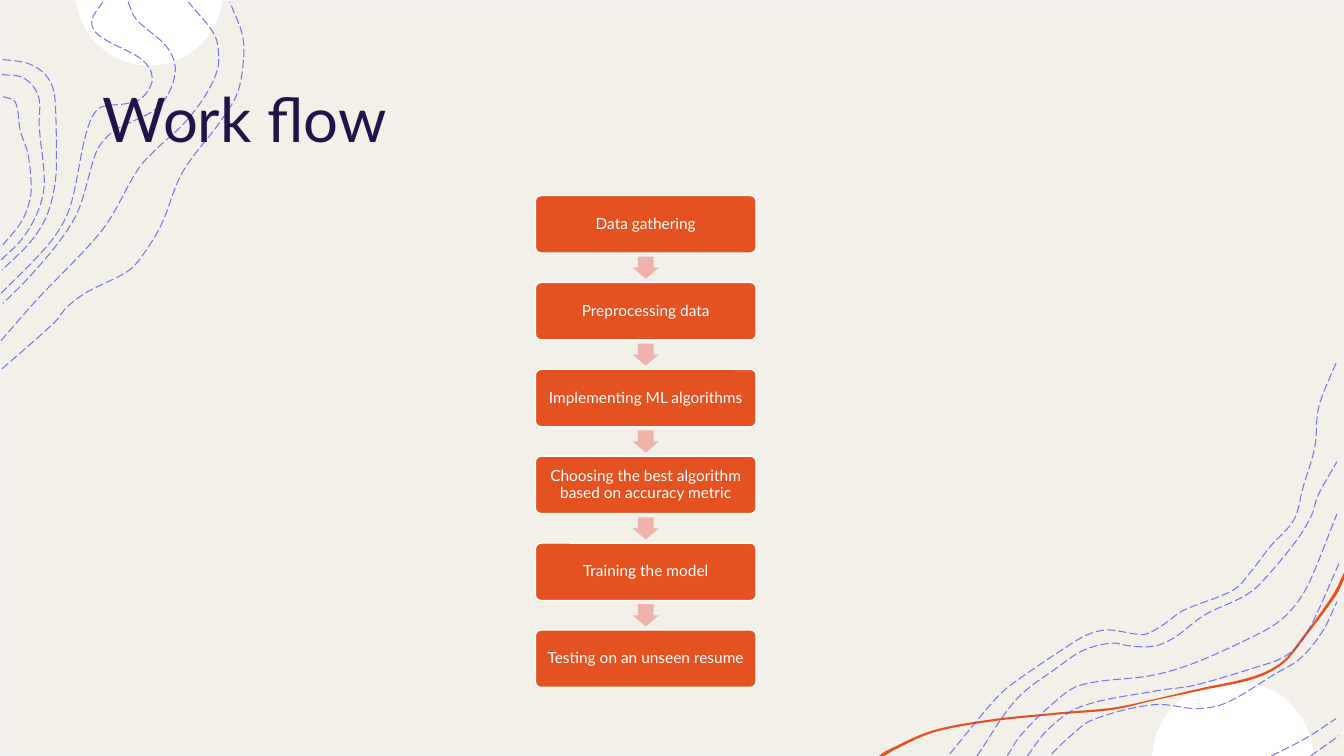
import math
from dataclasses import dataclass

from lxml import etree
from pptx import Presentation
from pptx.dml.color import RGBColor
from pptx.enum.dml import MSO_LINE
from pptx.enum.shapes import MSO_SHAPE
from pptx.enum.text import MSO_ANCHOR, PP_ALIGN
from pptx.oxml.ns import qn
from pptx.util import Pt

RECTANGLE = MSO_SHAPE.RECTANGLE
ROUNDED = MSO_SHAPE.ROUNDED_RECTANGLE
DOWN_ARROW = MSO_SHAPE.DOWN_ARROW
LONG_DASH = MSO_LINE.LONG_DASH
MIDDLE = MSO_ANCHOR.MIDDLE
CENTER, LEFT = PP_ALIGN.CENTER, PP_ALIGN.LEFT

PX = 9144  # EMU in one px, 100 px to the inch
PAGE_WIDTH, PAGE_HEIGHT = 1333, 750


@dataclass(frozen=True)
class Theme:
    paper: str = "F3F0E9"
    paper_edge: str = "F2F2F2"
    white: str = "FFFFFF"
    orange: str = "E45221"
    pink: str = "EFB3AC"
    contour: str = "4D4EE6"
    title: str = "201449"
    font: str = "Lato"
    title_size: int = 44
    step_size: int = 11


THEME = Theme()

STEPS = [
    "Data gathering",
    "Preprocessing data",
    "Implementing ML algorithms",
    "Choosing the best algorithm based on accuracy metric",
    "Training the model",
    "Testing on an unseen resume",
]

# Points that the contour lines pass through, in px
TOP_LEFT_CONTOURS = [
    [(2, 366), (55, 319), (66, 305), (86, 290), (127, 269), (141, 254), (160, 223),
     (181, 171), (219, 120), (236, 91), (242, 53), (240, 33), (228, 2)],
    [(1, 338), (38, 296), (88, 244), (108, 219), (137, 168), (154, 149), (183, 122),
     (206, 91), (217, 63), (214, 37), (187, 2)],
    [(127, 2), (135, 19), (165, 46), (174, 67), (169, 89), (155, 108), (116, 128),
     (104, 138), (95, 152), (78, 208), (60, 238), (28, 276), (3, 301)],
    [(1, 291), (35, 257), (56, 232), (70, 204), (84, 138), (92, 115), (101, 106),
     (124, 103), (140, 98), (151, 81), (149, 69), (138, 57), (98, 35), (91, 21), (102, 2)],
    [(3, 59), (28, 63), (44, 73), (52, 86), (55, 104), (56, 168), (48, 210), (31, 239), (2, 268)],
    [(2, 74), (23, 77), (38, 95), (39, 126), (44, 181), (38, 209), (22, 237), (1, 258)],
    [(3, 96), (15, 101), (20, 129), (28, 154), (31, 189), (23, 217), (3, 243)],
]
BOTTOM_RIGHT_CONTOURS = [
    [(942, 748), (986, 695), (1002, 680), (1056, 643), (1078, 630), (1098, 625), (1126, 629),
     (1137, 629), (1155, 619), (1173, 606), (1224, 585), (1240, 568), (1261, 541),
     (1279, 522), (1286, 510), (1292, 485), (1304, 444), (1308, 404), (1326, 358)],
    [(969, 750), (1008, 694), (1049, 662), (1075, 645), (1103, 638), (1122, 641), (1145, 641),
     (1164, 633), (1195, 610), (1233, 592), (1250, 579), (1286, 536), (1301, 511),
     (1307, 492), (1326, 458)],
    [(1300, 750), (1328, 730)],
    [(1261, 750), (1296, 732), (1325, 713)],
    [(1043, 748), (1063, 729), (1084, 714), (1145, 699), (1188, 703), (1217, 697),
     (1264, 669), (1290, 653), (1312, 626), (1326, 597)],
    [(1019, 750), (1039, 724), (1072, 701), (1149, 685), (1184, 680), (1252, 660),
     (1271, 653), (1288, 640), (1303, 615), (1328, 559)],
    [(999, 750), (1012, 730), (1042, 700), (1071, 680), (1143, 670), (1184, 658),
     (1244, 631), (1268, 617), (1285, 600), (1299, 577), (1326, 510)],
]
RIBBON_EDGES = [
    (1333, 575), (1325, 591), (1293, 634), (1273, 658), (1245, 673), (1191, 685), (1144, 695),
    (1105, 704), (1048, 709), (982, 716), (925, 727), (885, 745), (877, 750),
    (872, 750), (883, 743), (924, 725), (981, 714), (1048, 707), (1104, 702), (1143, 694),
    (1190, 683), (1243, 671), (1271, 657), (1291, 633), (1322, 590), (1333, 568)]


def set_formats(target, formats):
    for name, value in formats.items():
        setattr(target, name, value)


def control_point(before, at, after, reach):
    """Return the handle at a point, along the line between its neighbours."""
    span = math.dist(before, after) or 1
    return [a + (e - b) * reach / span for b, a, e in zip(before, at, after)]


def round_corners(shape):
    """Turn the straight segments of a freeform into cubic curves."""
    outline = shape._element.find(".//" + qn("a:path"))
    limits = int(outline.get("w")), int(outline.get("h"))
    points = [(int(pt.get("x")), int(pt.get("y"))) for pt in outline.iter(qn("a:pt"))]
    padded = [points[0], *points, points[-1]]
    for index, segment in enumerate(outline.findall(qn("a:lnTo"))):
        before, start, end, after = padded[index:index + 4]
        reach = math.dist(start, end) / 3
        handles = (control_point(before, start, end, reach),
                   control_point(after, end, start, reach))
        segment_curve = etree.Element(qn("a:cubicBezTo"))
        for point in (*handles, end):
            pt = etree.SubElement(segment_curve, qn("a:pt"))
            for axis, value, limit in zip("xy", point, limits):
                pt.set(axis, str(round(min(max(value, 0), limit))))
        outline.replace(segment, segment_curve)


def paint(shape, fill=None, line=None, line_width=1):
    shape.shadow.inherit = False
    for part, color in ((shape.fill, fill), (shape.line.fill, line)):
        if color:
            part.solid()
            part.fore_color.rgb = RGBColor.from_string(color)
        else:
            part.background()
    if line:
        shape.line.width = Pt(line_width)


def add_preset(shapes, kind, left, top, width, height, adjustments=(), **colors):
    shape = shapes.add_shape(kind, *(round(n * PX) for n in (left, top, width, height)))
    for index, value in enumerate(adjustments):
        shape.adjustments[index] = value
    paint(shape, **colors)
    return shape


def add_curve(shapes, points, close, **colors):
    emu_points = [(round(x * PX), round(y * PX)) for x, y in points]
    builder = shapes.build_freeform(*emu_points[0])
    builder.add_line_segments(emu_points[1:], close=close)
    shape = builder.convert_to_shape()
    round_corners(shape)
    paint(shape, **colors)
    return shape


def add_edge_disc(shapes, center_x, center_y, radius, edge, pieces=12):
    """Add a white disc cut off at the page edge."""
    tilt = math.asin((edge - center_y) / radius)
    sweep = math.copysign(math.pi, tilt) - 2 * tilt
    angles = [tilt + sweep * piece / pieces for piece in range(pieces + 1)]
    points = [(center_x + radius * math.cos(angle), center_y + radius * math.sin(angle))
              for angle in angles]
    add_curve(shapes, points, True, fill=THEME.white)


def add_contours(shapes, contours):
    group = shapes.add_group_shape()
    for points in contours:
        shape = add_curve(group.shapes, points, False, line=THEME.contour, line_width=0.75)
        shape.line.dash_style = LONG_DASH
        color = shape._element.spPr.find(".//" + qn("a:srgbClr"))
        etree.SubElement(color, qn("a:alpha")).set("val", "75000")


def write_text(box, text, size, color, align, inset):
    frame = box.text_frame
    margins = {f"margin_{side}": inset * PX for side in ("left", "top", "right", "bottom")}
    set_formats(frame, {"word_wrap": True, "vertical_anchor": MIDDLE, **margins})
    para = frame.paragraphs[0]
    set_formats(para, {"alignment": align, "line_spacing": 0.9})
    span = para.add_run()
    span.text = text
    set_formats(span.font, {"name": THEME.font, "size": Pt(size)})
    span.font.color.rgb = RGBColor.from_string(color)


def add_workflow(shapes, left=531, first_top=194, last_top=625, width=219, height=57):
    group = shapes.add_group_shape()
    pitch = (last_top - first_top) / (len(STEPS) - 1)
    arrow_width, arrow_height = 26, 22
    for index, step in enumerate(STEPS):
        top = first_top + index * pitch
        if index:
            add_preset(group.shapes, DOWN_ARROW, left + (width - arrow_width) / 2,
                       top - (pitch - height + arrow_height) / 2, arrow_width, arrow_height,
                       (0.6, 0.5), fill=THEME.pink)
        box = add_preset(group.shapes, ROUNDED, left, top, width, height, (0.1,),
                         fill=THEME.orange, line=THEME.white)
        write_text(box, step, THEME.step_size, THEME.white, CENTER, 6)


def main():
    deck = Presentation()
    set_formats(deck, {"slide_width": PAGE_WIDTH * PX, "slide_height": PAGE_HEIGHT * PX})
    shapes = deck.slides.add_slide(deck.slide_layouts[6]).shapes
    # Backdrop
    add_preset(shapes, RECTANGLE, 0, 0, PAGE_WIDTH, PAGE_HEIGHT,
               fill=THEME.paper, line=THEME.paper_edge)
    add_edge_disc(shapes, 148, -8, 73, 0)
    add_edge_disc(shapes, 1223, 756, 81, PAGE_HEIGHT)
    add_curve(shapes, RIBBON_EDGES, True, fill=THEME.orange)
    add_contours(shapes, TOP_LEFT_CONTOURS)
    add_contours(shapes, BOTTOM_RIGHT_CONTOURS)
    # Title and steps
    title = shapes.add_textbox(*(n * PX for n in (92, 49, 1150, 145)))
    write_text(title, "Work flow", THEME.title_size, THEME.title, LEFT, 10)
    add_workflow(shapes)
    deck.save("out.pptx")


if __name__ == "__main__":
    main()
